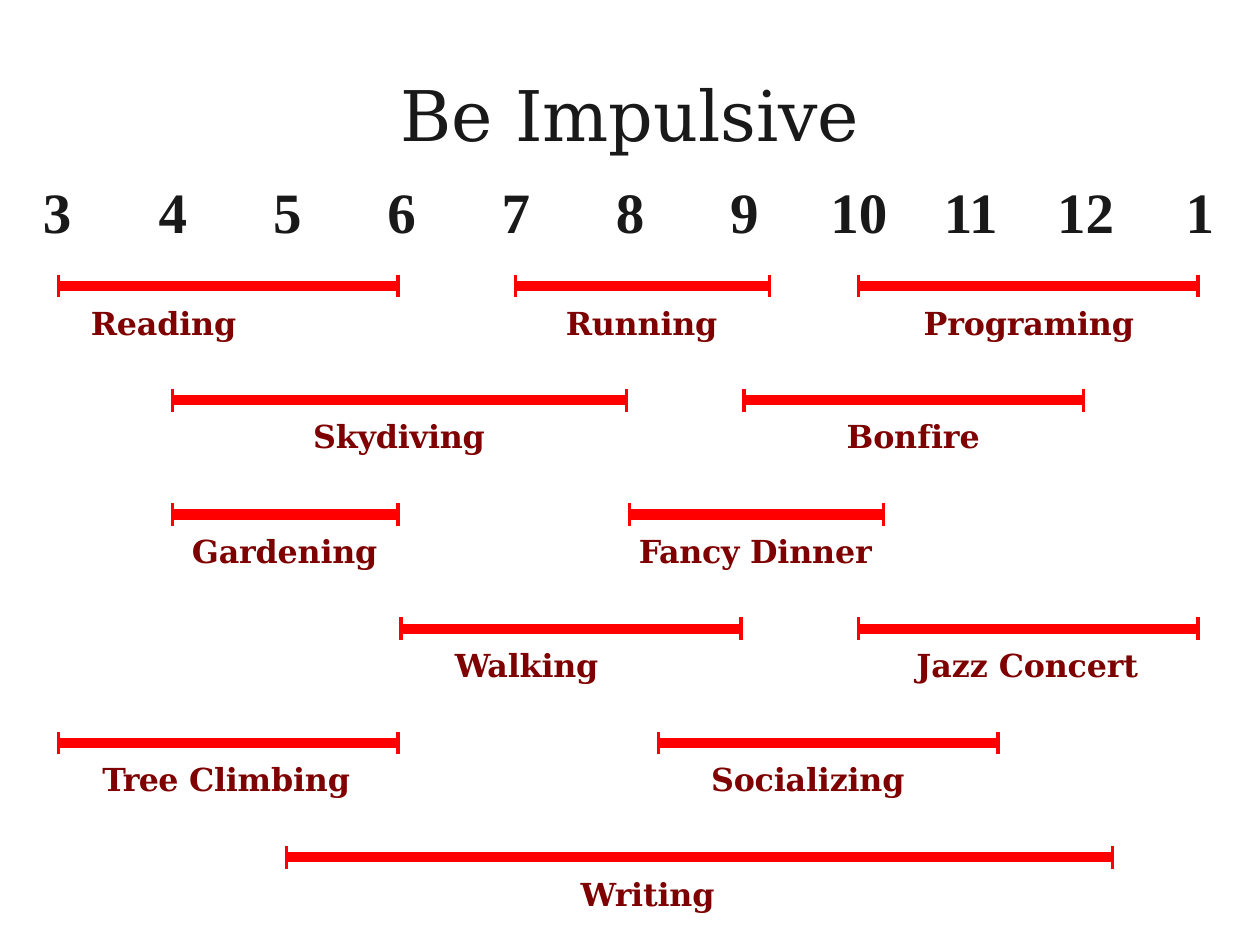
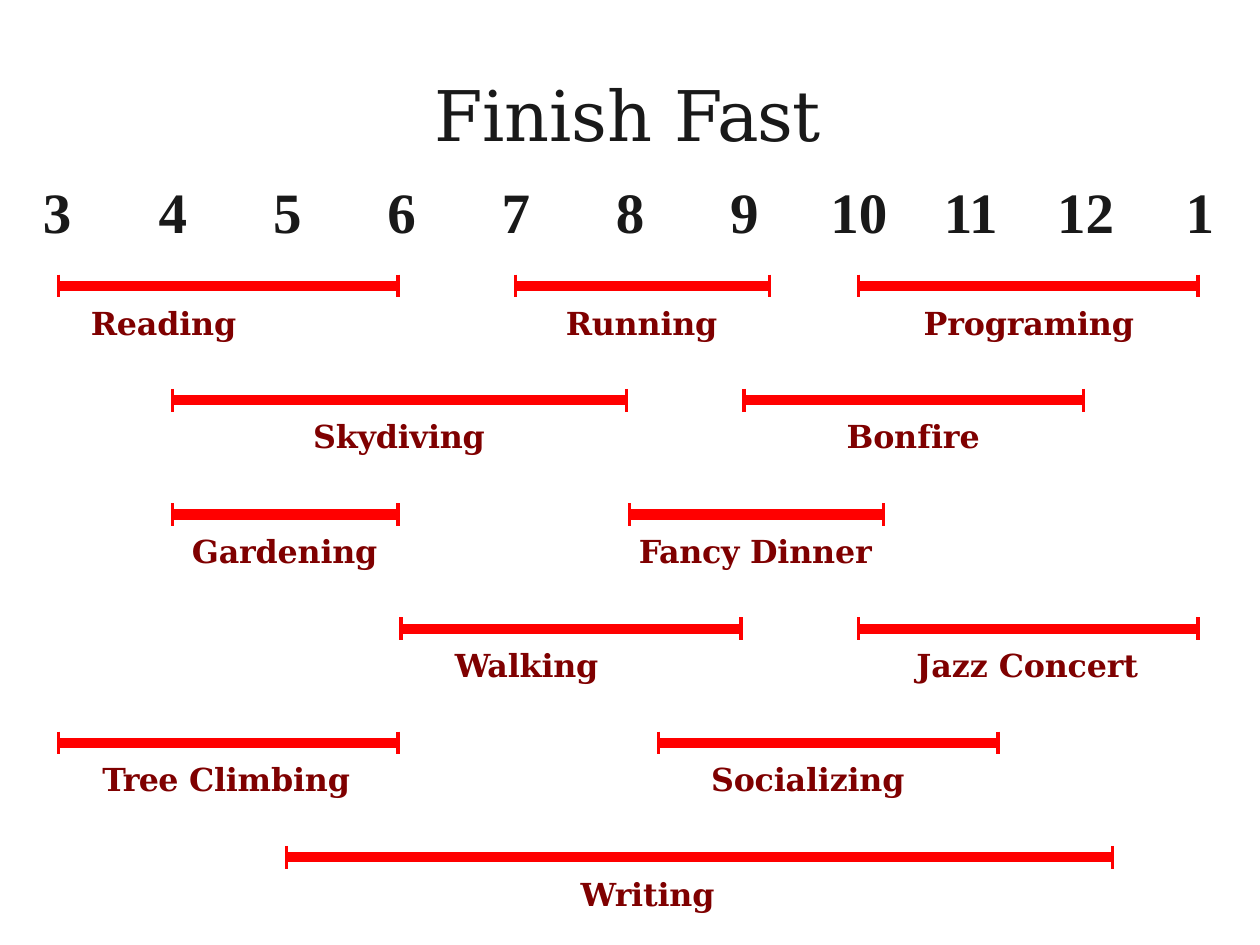
import pptx
import pptx.dml.color
import pptx.enum.shapes
import pptx.enum.text
import pptx.oxml
import pptx.oxml.ns
import pptx.util

Pt = pptx.util.Pt

# Shared look
INK = pptx.dml.color.RGBColor(0x19, 0x19, 0x19)
BAR_RED = pptx.dml.color.RGBColor(0xFF, 0x00, 0x00)
LABEL_RED = pptx.dml.color.RGBColor(0x7F, 0x00, 0x00)
SERIF = "DejaVu Serif"
HOUR_FONT = "Times New Roman"
LABEL_FORMAT = dict(size=18.1, color=LABEL_RED, bold=True)

# Time grid: hour 3 sits at the left, 13 is one o'clock at night
FIRST_HOUR, FIRST_X, HOUR_STEP = 3, 33.3, 65.3
FIRST_Y, ROW_STEP = 163.4, 65.3
END_GAP = 1.7
CAP_HALF = 6.5
LABEL_DROP = 9
LABEL_SHIFT = 0.4

HOURS = ["3", "4", "5", "6", "7", "8", "9", "10", "11", "12", "1"]
HOUR_TABS = ([66.2 + 65.3 * i for i in range(6)]
             + [450 + 64.8 * i for i in range(3)] + [653])
FIRST_ROW_TABS = [271.4, 475.9]

# Row, start hour, end hour, activity as (text, letter spacing) pieces, label width
ACTIVITIES = [
    (0, 3, 6, [("Reading", -10)], None),
    (0, 7, 9.25, [("Running", -10)], None),
    (0, 10, 13, [("Programing", -10)], None),
    (1, 4, 8, [("Skydiving", -10)], 101),
    (1, 9, 12, [("Bon", -10), ("f", 10), ("ir", -10), ("e", 0)], 79),
    (2, 4, 6, [("Gardening", -10)], 109),
    (2, 8, 10.25, [("Fancy ", -20), ("Dinner", -10)], 137),
    (3, 6, 9, [("Walking", -10)], 135),
    (3, 10, 13, [("Jazz ", 0), ("Concert", -10)], 130),
    (4, 3, 6, [("Tree ", -40), ("Climbing", -10)], 146),
    (4, 8.25, 11.25, [("Socializing", -10)], 136),
    (5, 5, 12.25, [("Writing", -10)], 138),
]
TITLES = [
    ([("Be ", 0), ("Impulsive", -10)], 264),
    ([("Finish ", -10), ("Fast", -70)], 225),
]


def add_frame(slide, left, top, width, height):
    frame = slide.shapes.add_textbox(Pt(left), Pt(top), Pt(width), Pt(height)).text_frame
    frame.word_wrap = True
    frame.auto_size = pptx.enum.text.MSO_AUTO_SIZE.SHAPE_TO_FIT_TEXT
    frame.margin_left = frame.margin_right = frame.margin_bottom = 0
    frame.margin_top = Pt(0.72)
    return frame


def write(paragraph, text, size, color, font=SERIF, bold=False,
          before=0.9, indent=0.72, tabs=()):
    for piece, spacing in text:
        run = paragraph.add_run()
        run.text = piece
        run.font.size = Pt(size)
        run.font.name = font
        run.font.bold = bold
        run.font.color.rgb = color
        run.font._element.set("spc", str(spacing))
    paragraph.space_before = Pt(before)
    properties = paragraph._p.get_or_add_pPr()
    properties.set("marL", str(Pt(indent)))
    if tabs:
        stops = pptx.oxml.parse_xml(
            "<a:tabLst %s>%s</a:tabLst>" % (
                pptx.oxml.ns.nsdecls("a"),
                "".join('<a:tab pos="%d" algn="l"/>' % Pt(tab) for tab in tabs)))
        properties.append(stops)


deck = pptx.Presentation()
deck.slide_width, deck.slide_height = Pt(720), Pt(540)

for title, title_width in TITLES:
    slide = deck.slides.add_slide(deck.slide_layouts[6])

    # Title, centred on the slide
    title_frame = add_frame(slide, 360 - title_width / 2, 40, title_width, 49)
    write(title_frame.paragraphs[0], title, size=39.9, color=INK)

    # Hour scale, with the first row of activities below it
    scale = add_frame(slide, 23.8, 100, 671, 97)
    write(scale.paragraphs[0], [("\t".join(HOURS), 0)], size=32.6, color=INK,
          font=HOUR_FONT, bold=True, tabs=HOUR_TABS)
    first_row = [activity[0][0] for row, _, _, activity, _ in ACTIVITIES if row == 0]
    write(scale.add_paragraph(), [("\t".join(first_row), -10)], before=34, indent=28.1,
          tabs=FIRST_ROW_TABS, **LABEL_FORMAT)

    for row, start, end, activity, label_width in ACTIVITIES:
        left = FIRST_X + (start - FIRST_HOUR) * HOUR_STEP
        right = FIRST_X + (end - FIRST_HOUR) * HOUR_STEP - END_GAP
        y = FIRST_Y + row * ROW_STEP

        # Bar with a cap at each end
        for x1, y1, x2, y2, weight in [
            (left, y, right, y, 5.8),
            (left, y - CAP_HALF, left, y + CAP_HALF, 1.9),
            (right, y - CAP_HALF, right, y + CAP_HALF, 1.9),
        ]:
            stroke = slide.shapes.add_connector(
                pptx.enum.shapes.MSO_CONNECTOR.STRAIGHT, Pt(x1), Pt(y1), Pt(x2), Pt(y2))
            stroke.line.color.rgb = BAR_RED
            stroke.line.width = Pt(weight)
            stroke._element.spPr.append(pptx.oxml.parse_xml(
                "<a:effectLst %s/>" % pptx.oxml.ns.nsdecls("a")))

        # Label box centred below its bar
        if row > 0:
            label = add_frame(slide, (left + right - label_width) / 2 + LABEL_SHIFT,
                              y + LABEL_DROP, label_width, 23)
            write(label.paragraphs[0], activity, **LABEL_FORMAT)

deck.save("out.pptx")
